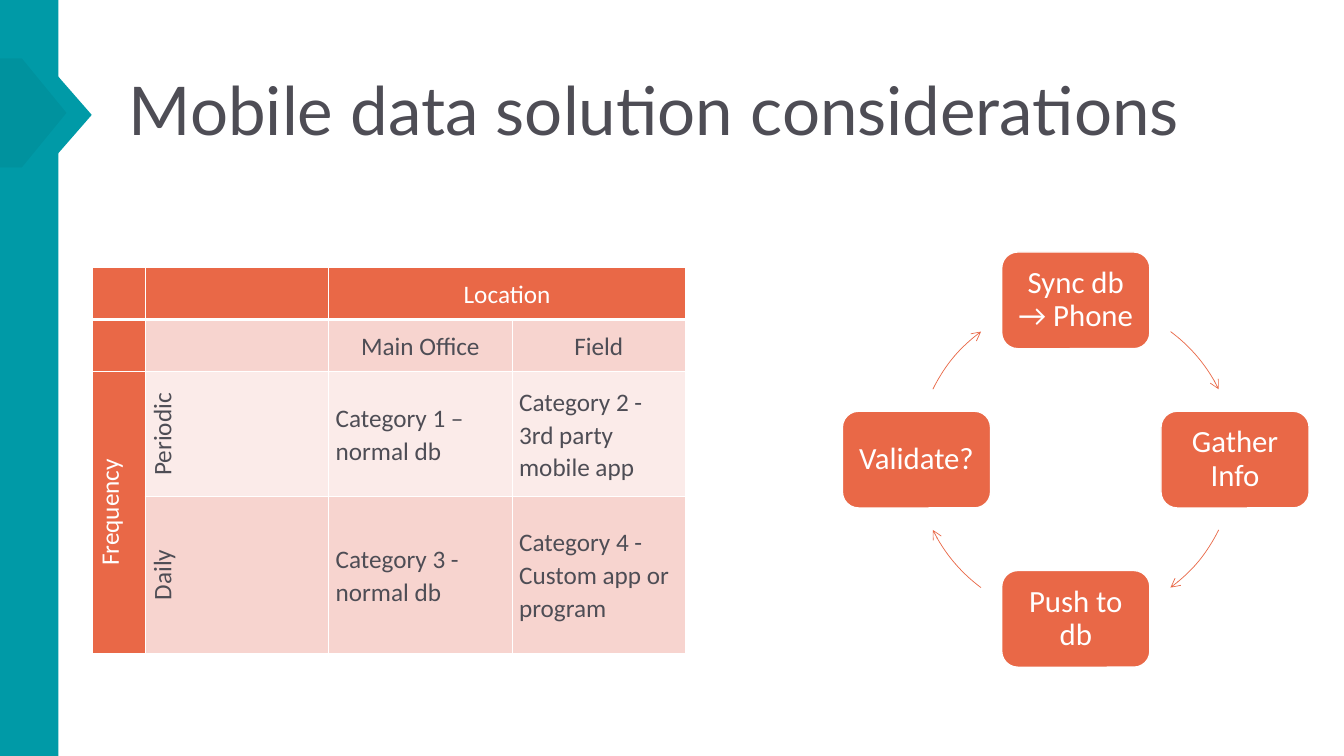
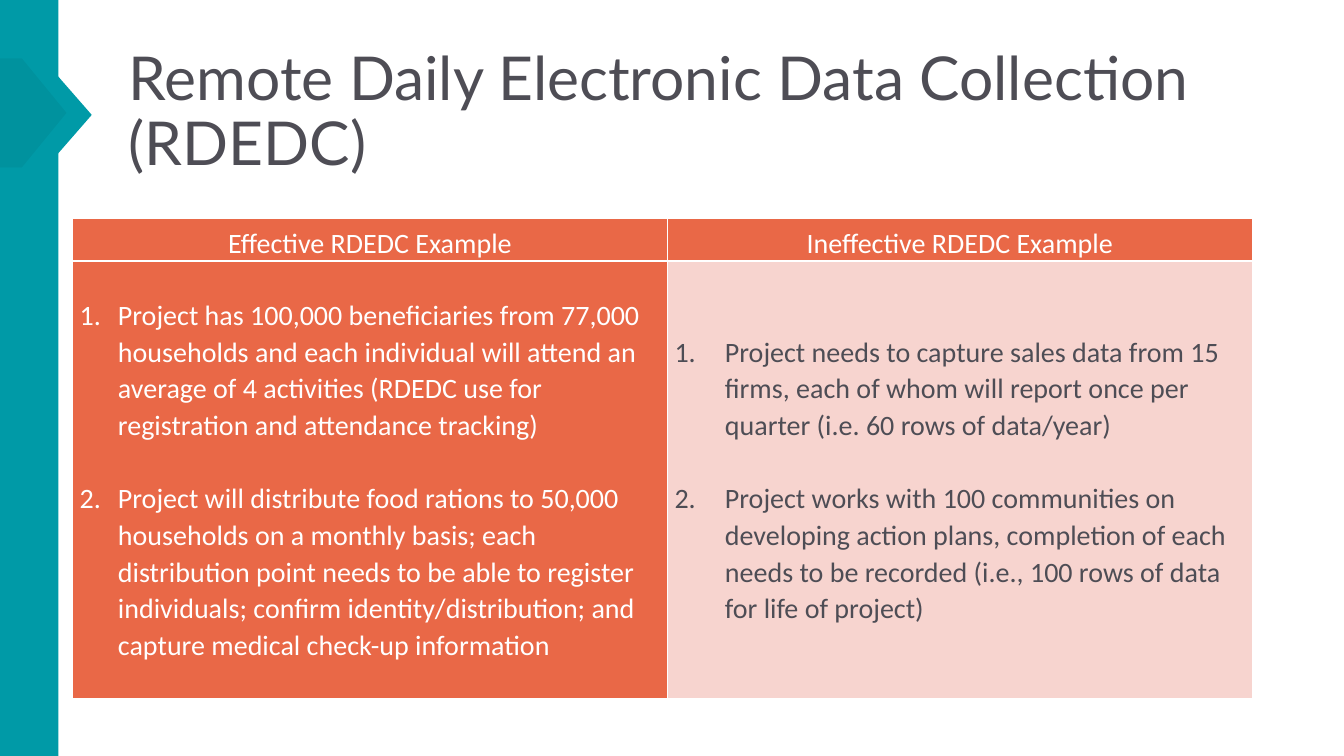
"""Build two slides on mobile data solutions: a decision table with a cycle, and a comparison table."""
import math

import pptx
import pptx.dml.color
import pptx.enum.shapes
import pptx.enum.text
import pptx.oxml
import pptx.oxml.ns
import pptx.util
from lxml import etree

Inches = pptx.util.Inches
Pt = pptx.util.Pt
Shape = pptx.enum.shapes.MSO_SHAPE
Align = pptx.enum.text.PP_ALIGN
Anchor = pptx.enum.text.MSO_ANCHOR
qn = pptx.oxml.ns.qn

TEAL, ORANGE, INK, WHITE = "009AA7", "E96847", "4E4D55", "FFFFFF"
ROSE, BLUSH = "F7D4CF", "FBEBE9"


def rgb(value):
    return pptx.dml.color.RGBColor.from_string(value)


def style_text(frame, font, size, colour, align, spacing):
    frame.word_wrap = True
    for paragraph in frame.paragraphs:
        paragraph.alignment = align
        paragraph.line_spacing = spacing
        for span in paragraph.runs:
            span.font.name = font
            span.font.size = Pt(size)
            span.font.bold = False
            span.font.color.rgb = rgb(colour)


slides = [
    {
        "title": "Mobile data solution considerations", "title_size": 48,
        "at": (0.92, 2.65), "columns": [0.52, 1.82, 1.82, 1.72],
        "rows": [0.52, 0.52, 1.24, 1.55], "size": 18,
        "header_anchor": Anchor.MIDDLE, "header_border": 2,
        "merges": [((0, 2), (0, 3)), ((2, 0), (3, 0))],
        "cells": [
            [("", ORANGE, "centre"), ("", ORANGE, "centre"),
             ("Location", ORANGE, "centre"), ("", ORANGE, "centre")],
            [("", ORANGE, "centre"), ("", ROSE, "centre"),
             ("Main Office", ROSE, "centre"), ("Field", ROSE, "centre")],
            [("Frequency", ORANGE, "vertical"), ("Periodic", BLUSH, "vertical"),
             ("Category 1 – normal db", BLUSH, "left"),
             ("Category 2 - 3rd party mobile app", BLUSH, "left")],
            [("", ORANGE, "vertical"), ("Daily", ROSE, "vertical"),
             ("Category 3 - normal db", ROSE, "left"),
             ("Category 4 - Custom app or program", ROSE, "left")],
        ],
    },
    {
        "title": "Remote Daily Electronic Data Collection (RDEDC)", "title_size": 43.2,
        "at": (0.72, 2.17), "columns": [5.9, 5.8],
        "rows": [0.42, 4.34], "size": 20,
        "header_anchor": Anchor.BOTTOM, "header_border": 1,
        "merges": [],
        "cells": [
            [("Effective RDEDC Example", ORANGE, "centre"),
             ("Ineffective RDEDC Example", ORANGE, "centre")],
            [("Project has 100,000 beneficiaries from 77,000 households and each individual "
              "will attend an average of 4 activities (RDEDC use for registration and "
              "attendance tracking)\n"
              "Project will distribute food rations to 50,000 households on a monthly basis; "
              "each distribution point needs to be able to register individuals; confirm "
              "identity/distribution; and capture medical check-up information", ORANGE, 0.38),
             ("Project needs to capture sales data from 15 firms, each of whom will report "
              "once per quarter (i.e. 60 rows of data/year)\n"
              "Project works with 100 communities on developing action plans, completion of "
              "each needs to be recorded (i.e., 100 rows of data for life of project)",
              ROSE, 0.5)],
        ],
    },
]

deck = pptx.Presentation()
deck.slide_width = Inches(13.33)
deck.slide_height = Inches(7.5)

for content in slides:
    page = deck.slides.add_slide(deck.slide_layouts[6])

    band = page.shapes.add_shape(Shape.RECTANGLE, 0, 0, Inches(0.58), Inches(7.5))
    pointer = page.shapes.add_shape(
        Shape.ISOSCELES_TRIANGLE, Inches(0.35), Inches(0.97), Inches(0.78), Inches(0.34))
    pointer.rotation = 90
    shade = page.shapes.add_shape(Shape.PENTAGON, 0, Inches(0.58), Inches(0.66), Inches(1.08))
    shade.adjustments[0] = 0.67
    for shape, colour in ((band, TEAL), (pointer, TEAL), (shade, "000000")):
        shape.shadow.inherit = False
        shape.fill.solid()
        shape.fill.fore_color.rgb = rgb(colour)
        shape.line.fill.background()
    shade_colour = shade._element.spPr.find(qn("a:solidFill"))[0]
    etree.SubElement(shade_colour, qn("a:alpha")).set("val", "5000")

    title = page.shapes.add_textbox(Inches(1.18), Inches(0.4), Inches(11.5), Inches(1.45))
    title.text_frame.text = content["title"]
    title.text_frame.vertical_anchor = Anchor.MIDDLE
    style_text(title.text_frame, "Lato", content["title_size"], INK, Align.LEFT, 0.9)

    left, top = content["at"]
    columns, rows = content["columns"], content["rows"]
    table = page.shapes.add_table(
        len(rows), len(columns), Inches(left), Inches(top),
        Inches(sum(columns)), Inches(sum(rows))).table
    table.first_row = False
    table.horz_banding = False
    for column, width in zip(table.columns, columns):
        column.width = Inches(width)
    for row, height in zip(table.rows, rows):
        row.height = Inches(height)

    for row_index, row_cells in enumerate(content["cells"]):
        for column_index, (text, fill, layout) in enumerate(row_cells):
            cell = table.cell(row_index, column_index)
            cell.margin_left = cell.margin_right = Inches(0.07)
            cell.margin_top = cell.margin_bottom = 0
            cell.vertical_anchor = Anchor.MIDDLE if row_index else content["header_anchor"]
            properties = cell._tc.get_or_add_tcPr()
            if layout == "vertical":
                properties.set("vert", "vert270")
            for side in ("lnL", "lnR", "lnT", "lnB"):
                width = content["header_border"] if side == "lnB" and row_index == 0 else 1
                border = etree.SubElement(properties, qn("a:" + side), w=str(Pt(width)))
                border_fill = etree.SubElement(border, qn("a:solidFill"))
                etree.SubElement(border_fill, qn("a:srgbClr"), val=WHITE)
            cell.fill.solid()
            cell.fill.fore_color.rgb = rgb(fill)

            cell.text_frame.text = text
            numbered = isinstance(layout, float)
            if numbered:
                for index, paragraph in enumerate(cell.text_frame.paragraphs):
                    indent = paragraph._p.get_or_add_pPr()
                    indent.set("marL", str(Inches(layout)))
                    indent.set("indent", str(-Inches(layout)))
                    etree.SubElement(indent, qn("a:buFont"), typeface="+mj-lt")
                    etree.SubElement(indent, qn("a:buAutoNum"), type="arabicPeriod")
                    if index:
                        paragraph.space_before = Pt(26)
            align = Align.LEFT if numbered or layout == "left" else Align.CENTER
            text_colour = WHITE if fill == ORANGE else INK
            style_text(cell.text_frame, "Calibri", content["size"], text_colour, align, 1.07)

    for first, last in content["merges"]:
        table.cell(*first).merge(table.cell(*last))

cycle_page = deck.slides[0]
center_x, center_y, radius = 10.67, 4.56, 1.58
step_width, step_height = 1.47, 0.96
steps = ["Sync db → Phone", "Gather Info", "Push to db", "Validate?"]
arc_starts = [306.5, 26.2, 126.5, 206.2]
arc_sweep = 27.3

for index, (step, start) in enumerate(zip(steps, arc_starts)):
    angle = math.radians(90 * index - 90)
    box = cycle_page.shapes.add_shape(
        Shape.ROUNDED_RECTANGLE,
        Inches(center_x + radius * math.cos(angle) - step_width / 2),
        Inches(center_y + radius * math.sin(angle) - step_height / 2),
        Inches(step_width), Inches(step_height))
    box.shadow.inherit = False
    box.fill.solid()
    box.fill.fore_color.rgb = rgb(ORANGE)
    box.line.color.rgb = rgb(WHITE)
    box.line.width = Pt(1)
    frame = box.text_frame
    frame.text = step
    frame.vertical_anchor = Anchor.MIDDLE
    frame.margin_left = frame.margin_right = Inches(0.08)
    frame.margin_top = frame.margin_bottom = Inches(0.08)
    style_text(frame, "Calibri", 22, WHITE, Align.CENTER, 0.9)

    arc = cycle_page.shapes.add_shape(
        Shape.ARC, Inches(center_x - radius), Inches(center_y - radius),
        Inches(2 * radius), Inches(2 * radius))
    arc.adjustments[0] = start * 0.6
    arc.adjustments[1] = (start + arc_sweep) * 0.6
    arc.shadow.inherit = False
    arc.fill.background()
    arc.line.color.rgb = rgb(ORANGE)
    arc.line.width = Pt(0.5)
    etree.SubElement(arc._element.spPr.find(qn("a:ln")), qn("a:tailEnd"), type="arrow")

deck.save("out.pptx")
